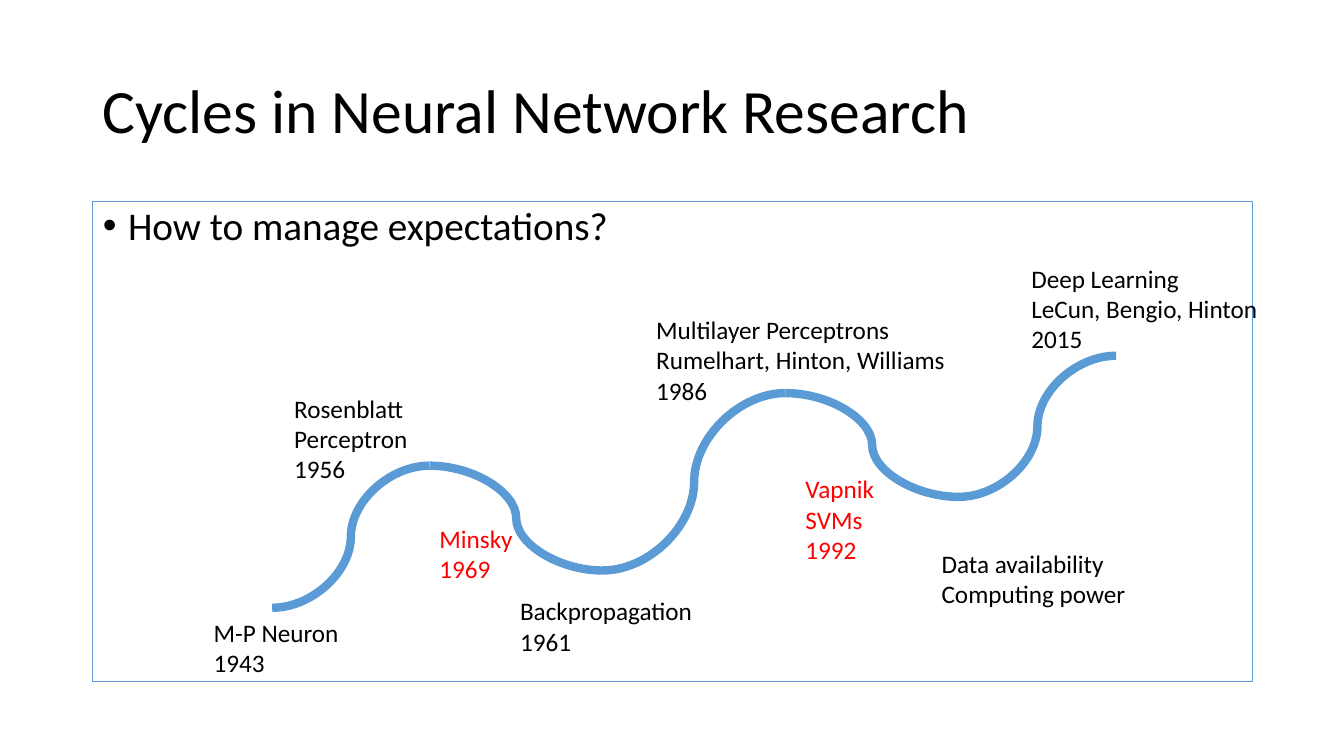
"""Build the slide on the cycles in neural network research."""
from dataclasses import dataclass
from itertools import pairwise

import pptx
import pptx.dml.color
import pptx.enum.shapes
import pptx.enum.text
import pptx.oxml.ns
import pptx.shapes.autoshape
import pptx.shapes.group
import pptx.slide
import pptx.text.text
import pptx.util
from lxml import etree

EMU_PER_PX = 9144
BLACK = pptx.dml.color.RGBColor(0x00, 0x00, 0x00)
RED = pptx.dml.color.RGBColor(0xFF, 0x00, 0x00)
BLUE = pptx.dml.color.RGBColor(0x5B, 0x9B, 0xD5)
FONT_NAME = "Calibri"


@dataclass(frozen=True)
class Milestone:
    left: int
    top: int
    width: int
    height: int
    text: str
    color: pptx.dml.color.RGBColor = BLACK


MILESTONES = [
    Milestone(202, 607, 145, 71, "M-P Neuron\n1943"),
    Milestone(282, 385, 134, 101, "Rosenblatt\nPerceptron\n1956"),
    Milestone(506, 586, 193, 71, "Backpropagation\n1961"),
    Milestone(641, 307, 310, 101, "Multilayer Perceptrons\nRumelhart, Hinton, Williams\n1986"),
    Milestone(1013, 256, 248, 101, "Deep Learning\nLeCun, Bengio, Hinton\n2015"),
    Milestone(426, 514, 93, 71, "Minsky\n1969", RED),
    Milestone(789, 465, 89, 101, "Vapnik\nSVMs\n1992", RED),
    Milestone(924, 539, 205, 71, "Data availability\nComputing power"),
]
WAVE_POINTS = [(270, 603), (426, 462), (598, 566), (779, 390), (951, 493), (1107, 353)]


def px(length: int) -> pptx.util.Emu:
    return pptx.util.Emu(length * EMU_PER_PX)


def place(shape: pptx.shapes.autoshape.Shape, left: int, top: int, width: int, height: int) -> None:
    shape.left, shape.top, shape.width, shape.height = map(px, (left, top, width, height))


def format_text(
    text_frame: pptx.text.text.TextFrame, size: int, color: pptx.dml.color.RGBColor
) -> None:
    for paragraph in text_frame.paragraphs:
        paragraph.alignment = pptx.enum.text.PP_ALIGN.LEFT
        for run in paragraph.runs:
            run.font.name = FONT_NAME
            run.font.size = pptx.util.Pt(size)
            run.font.color.rgb = color


def fill_title(slide: pptx.slide.Slide) -> None:
    title = slide.shapes.title
    place(title, 92, 40, 1150, 145)
    text_frame = title.text_frame
    text_frame.text = "Cycles in Neural Network Research"
    text_frame.auto_size = pptx.enum.text.MSO_AUTO_SIZE.NONE
    text_frame.vertical_anchor = pptx.enum.text.MSO_ANCHOR.MIDDLE
    text_frame.paragraphs[0].line_spacing = 0.9
    format_text(text_frame, 44, BLACK)


def fill_body(slide: pptx.slide.Slide) -> None:
    body = slide.placeholders[1]
    place(body, 92, 200, 1150, 476)
    body.line.color.rgb = BLUE
    body.line.width = pptx.util.Pt(0.75)
    text_frame = body.text_frame
    text_frame.text = "How to manage expectations?"
    text_frame.auto_size = pptx.enum.text.MSO_AUTO_SIZE.NONE
    paragraph = text_frame.paragraphs[0]
    paragraph.line_spacing = 0.9
    paragraph.space_before = pptx.util.Pt(0)
    properties = paragraph._p.get_or_add_pPr()
    properties.set("marL", str(px(25)))
    properties.set("indent", str(px(-25)))
    bullet = etree.SubElement(properties, pptx.oxml.ns.qn("a:buChar"))
    bullet.set("char", "•")
    format_text(text_frame, 28, BLACK)


def draw_wave_part(
    group: pptx.shapes.group.GroupShape, start: tuple[int, int], end: tuple[int, int]
) -> None:
    connector = group.shapes.add_connector(
        pptx.enum.shapes.MSO_CONNECTOR.CURVE, *map(px, (*start, *end))
    )
    connector.line.color.rgb = BLUE
    connector.line.width = pptx.util.Pt(6)
    etree.SubElement(connector._element.spPr, pptx.oxml.ns.qn("a:effectLst"))


def draw_milestone(slide: pptx.slide.Slide, milestone: Milestone) -> None:
    box = slide.shapes.add_textbox(
        *map(px, (milestone.left, milestone.top, milestone.width, milestone.height))
    )
    text_frame = box.text_frame
    text_frame.text = milestone.text
    text_frame.word_wrap = False
    text_frame.auto_size = pptx.enum.text.MSO_AUTO_SIZE.SHAPE_TO_FIT_TEXT
    format_text(text_frame, 18, milestone.color)


def main() -> None:
    presentation = pptx.Presentation()
    presentation.slide_width = px(1333)
    presentation.slide_height = px(750)
    slide = presentation.slides.add_slide(presentation.slide_layouts[1])
    fill_title(slide)
    fill_body(slide)
    wave = slide.shapes.add_group_shape()
    for start, end in pairwise(WAVE_POINTS):
        draw_wave_part(wave, start, end)
    for milestone in MILESTONES:
        draw_milestone(slide, milestone)
    presentation.save("out.pptx")


if __name__ == "__main__":
    main()
